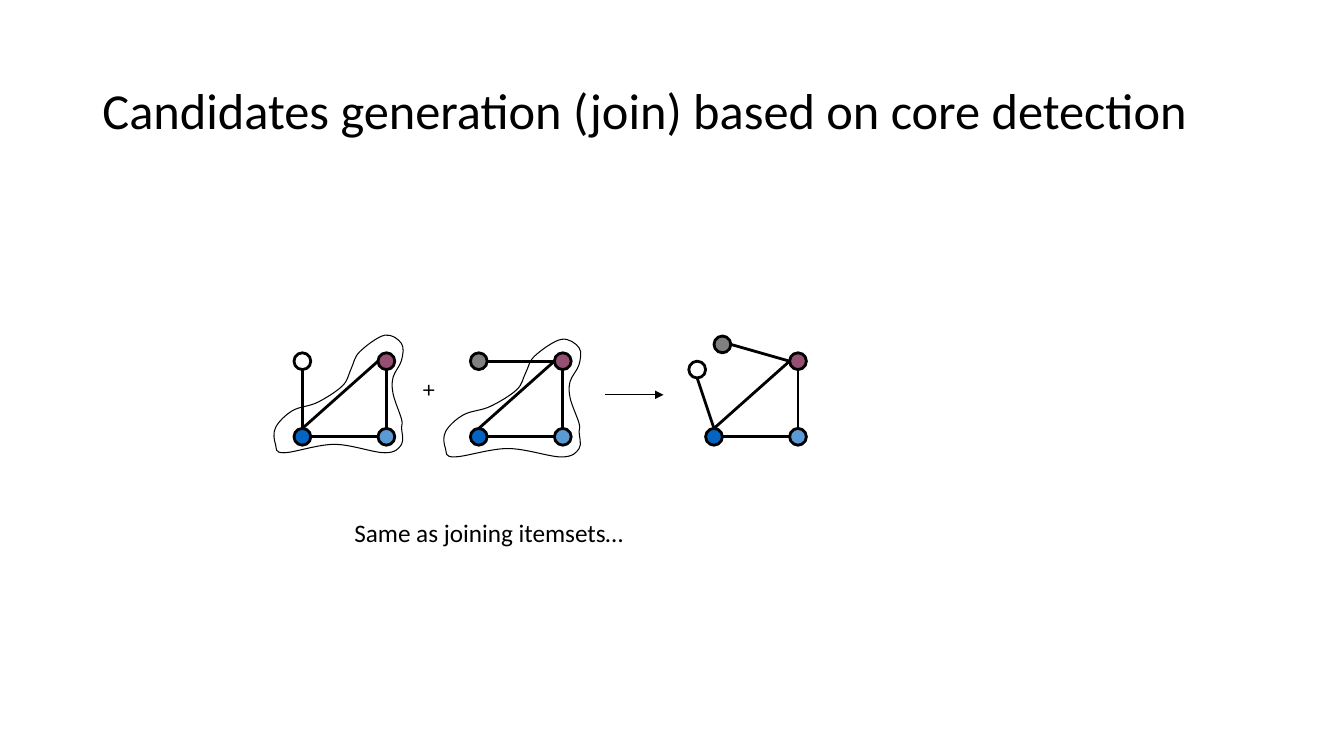
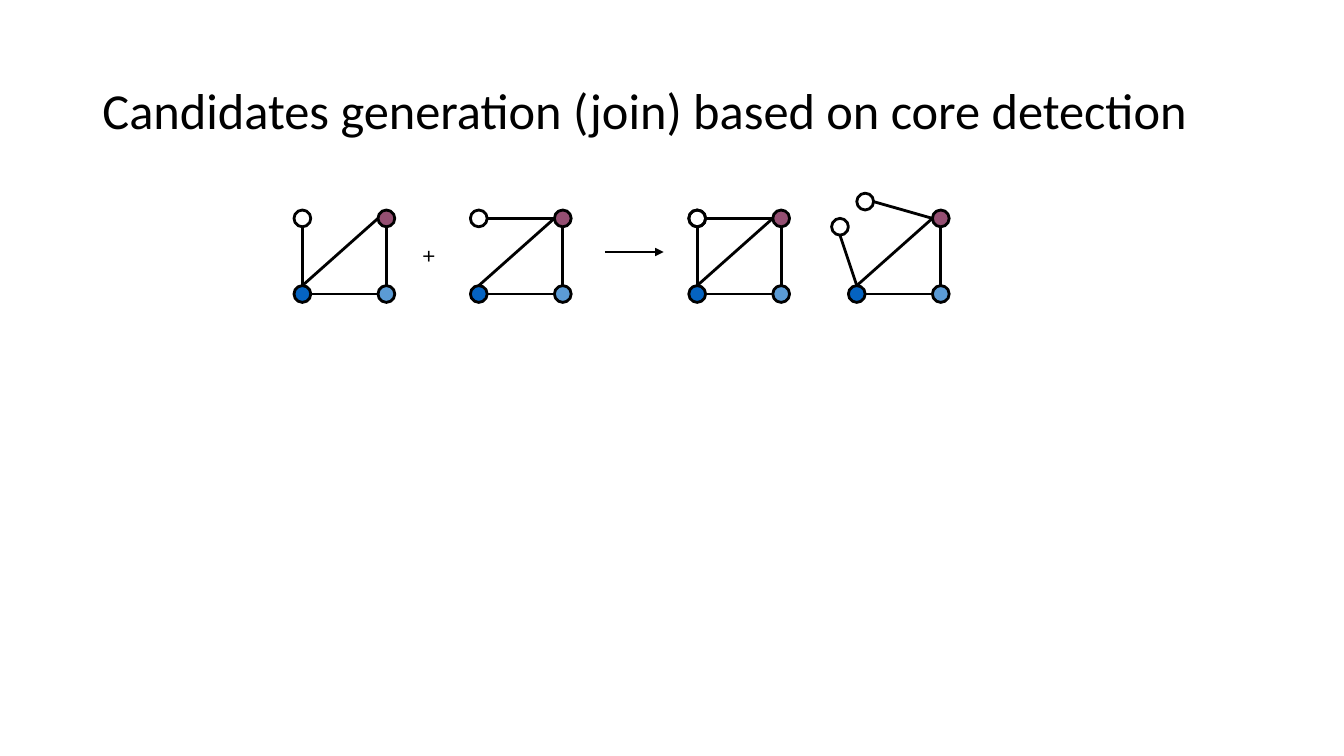
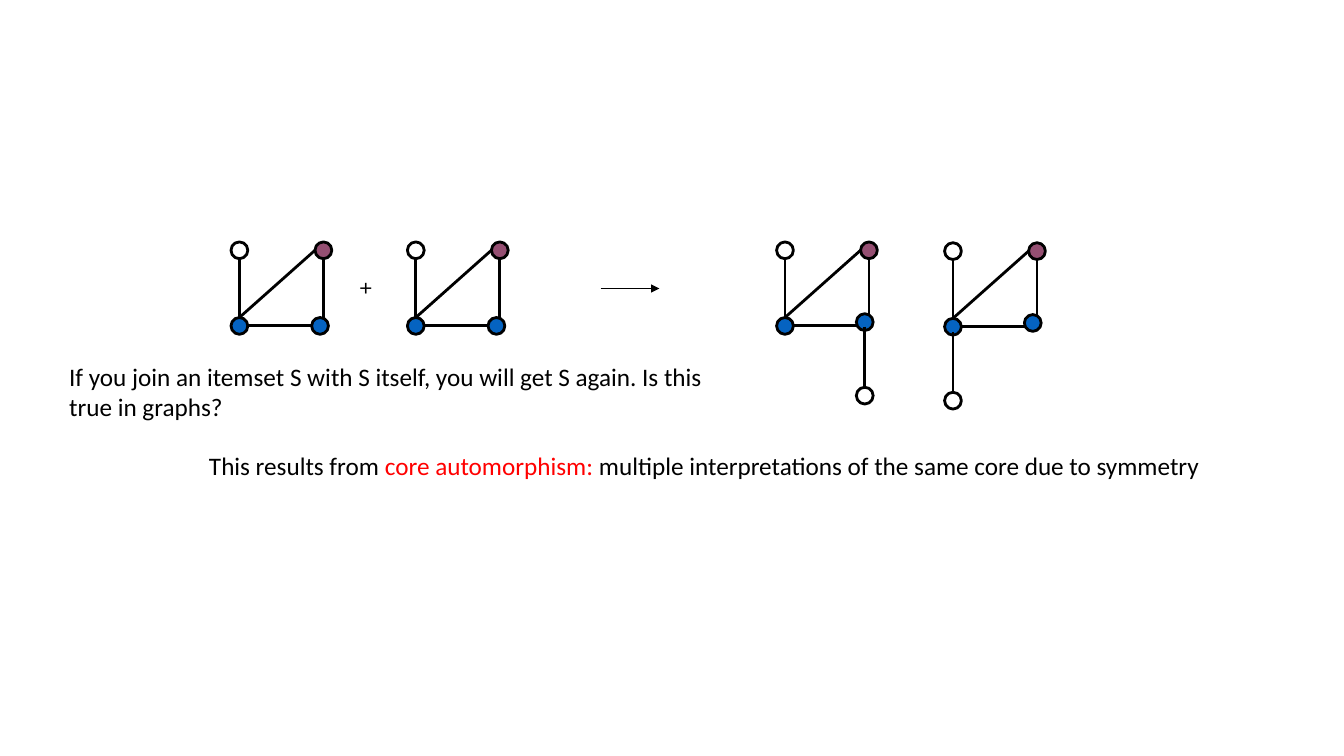
from dataclasses import dataclass

from lxml.etree import Element, SubElement
from pptx import Presentation
from pptx.dml.color import RGBColor
from pptx.enum.shapes import MSO_CONNECTOR, MSO_SHAPE
from pptx.enum.text import MSO_ANCHOR, MSO_AUTO_SIZE, PP_ALIGN
from pptx.oxml.ns import qn
from pptx.util import Inches, Pt


@dataclass(frozen=True)
class Theme:
    ink: RGBColor = RGBColor(0, 0, 0)
    accent: RGBColor = RGBColor(0xFF, 0, 0)
    blue: RGBColor = RGBColor(0x05, 0x63, 0xC1)
    sky: RGBColor = RGBColor(0x5B, 0x9B, 0xD5)
    plum: RGBColor = RGBColor(0x95, 0x4F, 0x72)
    gray: RGBColor = RGBColor(0x80, 0x80, 0x80)
    font: str = "Calibri"
    symbol_font: str = "Montserrat"
    title_size: Pt = Pt(36)
    text_size: Pt = Pt(18)
    edge: Pt = Pt(2)
    hairline: Pt = Pt(0.75)


theme = Theme()

# The slide is a grid of 160 columns by 90 rows, twelve to the inch.
COLUMNS, ROWS = 160, 90
CELL = Inches(1) / 12
TITLE = "Candidates generation (join) based on core detection"

# Points of a graph are counted from the centre of its lower left node.
CORE_EDGES = [((1, 0), (9, 0)), ((10, -1), (10, -8)), ((0, -1), (9, -9))]
BRANCHES = {  # node, then both ends of its edge
    "up": ((0, -9), (0, -1), (0, -8)),
    "across": ((0, -9), (1, -9), (9, -9)),
    "leaning": ((-2, -8), (0, -1), (-2, -7)),
    "tilted": ((1, -11), (2, -11), (9, -9)),
    "below right": ((9.5, 8.3), (9.5, 0.1), (9.5, 7.1)),
    "below left": ((0, 8.8), (0, 0.6), (0, 7.6)),
}
SQUARE = ((10, 0), theme.sky)
TWIN = ((9.6, 0), theme.blue)
RAISED_TWIN = ((9.5, -0.45), theme.blue)

# Knots of the closed curve that surrounds the core.
CORE_OUTLINE = [(0, 0), (6, -1), (12, 0), (14, -1), (14, -3), (14, -4),
                (13, -7), (13, -9), (14, -11), (14, -13), (12, -14), (9, -12),
                (8, -10), (7, -8), (4, -6), (1, -5), (-1, -3), (-1, -1)]

PAGES = [
    {
        "title": TITLE,
        "graphs": [
            ((36, 52), SQUARE, {"up": None}),
            ((57, 52), SQUARE, {"across": theme.gray}),
            ((85, 52), SQUARE, {"leaning": None, "tilted": theme.gray}),
        ],
        "plus": (49, 44),
        "arrow": (72, 47),
        "outlines": [((33.8, 53.9), 1), ((54.1, 54.4), 1.06)],
        "texts": [((41, 61, 35, 4.8), False,
                   [("Same as joining itemsets…", theme.ink)])],
    },
    {
        "title": TITLE,
        "graphs": [
            ((36, 35), SQUARE, {"up": None}),
            ((57, 35), SQUARE, {"across": None}),
            ((83, 35), SQUARE, {"up": None, "across": None}),
            ((102, 35), SQUARE, {"leaning": None, "tilted": None}),
        ],
        "plus": (49, 28),
        "arrow": (72, 30),
        "outlines": [],
        "texts": [],
    },
    {
        "title": None,
        "graphs": [
            ((28.5, 38.8), TWIN, {"up": None}),
            ((49.5, 38.8), TWIN, {"up": None}),
            ((93.45, 38.8), RAISED_TWIN, {"up": None, "below right": None}),
            ((113.45, 38.9), RAISED_TWIN, {"up": None, "below left": None}),
        ],
        "plus": (41.5, 31.8),
        "arrow": (71.5, 34.35),
        "outlines": [],
        "texts": [
            ((23.7, 53, 121.7, 4.8), False,
             [("This results from ", theme.ink),
              ("core automorphism: ", theme.accent),
              ("multiple interpretations of the same core due to symmetry",
               theme.ink)]),
            ((7.05, 42.4, 80, 8.5), True,
             [("If you join an itemset S with S itself, you will get S again. "
               "Is this true in graphs?", theme.ink)]),
        ],
    },
]


def cells(*counts):
    """Turn counts of grid cells into slide lengths."""
    return [round(count * CELL) for count in counts]


def draw_line(page, origin, start, end, weight):
    ends = [origin[axis] + point[axis] for point in (start, end) for axis in (0, 1)]
    line = page.shapes.add_connector(MSO_CONNECTOR.STRAIGHT, *cells(*ends))
    line.line.color.rgb = theme.ink
    line.line.width = weight
    SubElement(line._element.spPr, qn("a:effectLst"))
    return line


deck = Presentation()
deck.slide_width, deck.slide_height = cells(COLUMNS, ROWS)
title_layout, blank_layout = deck.slide_layouts[5], deck.slide_layouts[6]
heading = title_layout.placeholders[0]
heading.left, heading.top, heading.width, heading.height = cells(11, 4.8, 138, 17.4)

for content in PAGES:
    page = deck.slides.add_slide(title_layout if content["title"] else blank_layout)
    if content["title"]:
        frame = page.shapes.title.text_frame
        frame.text = content["title"]
        frame.auto_size = MSO_AUTO_SIZE.NONE
        frame.vertical_anchor = MSO_ANCHOR.MIDDLE
        para = frame.paragraphs[0]
        para.alignment = PP_ALIGN.LEFT
        para.line_spacing = 0.9
        para.font.name = theme.font
        para.font.size = theme.title_size
        para.font.color.rgb = theme.ink

    for origin, corner, branches in content["graphs"]:
        for start, end in CORE_EDGES:
            draw_line(page, origin, start, end, theme.edge)
        nodes = [((0, 0), theme.blue), corner, ((10, -9), theme.plum)]
        nodes += [(BRANCHES[name][0], fill) for name, fill in branches.items()]
        for (x, y), fill in nodes:
            node = page.shapes.add_shape(
                MSO_SHAPE.OVAL, *cells(origin[0] + x - 1, origin[1] + y - 1, 2, 2))
            node.shadow.inherit = False
            node.line.color.rgb = theme.ink
            node.line.width = theme.edge
            if fill is None:
                node.fill.background()
            else:
                node.fill.solid()
                node.fill.fore_color.rgb = fill
        for name in branches:
            draw_line(page, origin, *BRANCHES[name][1:], theme.edge)

    arrow = draw_line(page, content["arrow"], (0, 0), (7, 0), theme.hairline)
    SubElement(arrow.line._get_or_add_ln(), qn("a:tailEnd"), type="triangle")

    for (left, bottom), stretch in content["outlines"]:
        knots = [cells(left + x * stretch, bottom + y) for x, y in CORE_OUTLINE]
        builder = page.shapes.build_freeform(*knots[0])
        builder.add_line_segments(knots[1:] + knots[:1], close=True)
        outline = builder.convert_to_shape()
        outline.shadow.inherit = False
        outline.fill.background()
        outline.line.color.rgb = theme.ink
        outline.line.width = theme.hairline
        # Each straight segment becomes a Bezier curve, smooth at its knots.
        corner = (outline.left, outline.top)
        for i, segment in enumerate(list(outline._element.iter(qn("a:lnTo")))):
            before, start, end, after = [knots[(i + k) % len(knots)]
                                         for k in (-1, 0, 1, 2)]
            leaving = [s + (e - b) / 6 for b, s, e in zip(before, start, end)]
            arriving = [e - (a - s) / 6 for s, e, a in zip(start, end, after)]
            segment.tag = qn("a:cubicBezTo")
            for place, control in enumerate((leaving, arriving)):
                x, y = [str(round(c - o)) for c, o in zip(control, corner)]
                segment.insert(place, Element(qn("a:pt"), x=x, y=y))

    plus = ((*content["plus"], 4.4, 4.8), False, [("+", theme.ink)])
    for area, wrap, spans in [plus, *content["texts"]]:
        box = page.shapes.add_textbox(*cells(*area))
        box.text_frame.word_wrap = wrap
        box.text_frame.auto_size = MSO_AUTO_SIZE.SHAPE_TO_FIT_TEXT
        para = box.text_frame.paragraphs[0]
        para.font.name = theme.symbol_font if spans[0][0] == "+" else theme.font
        para.font.size = theme.text_size
        for text, color in spans:
            span = para.add_run()
            span.text = text
            span.font.color.rgb = color

deck.save("out.pptx")
